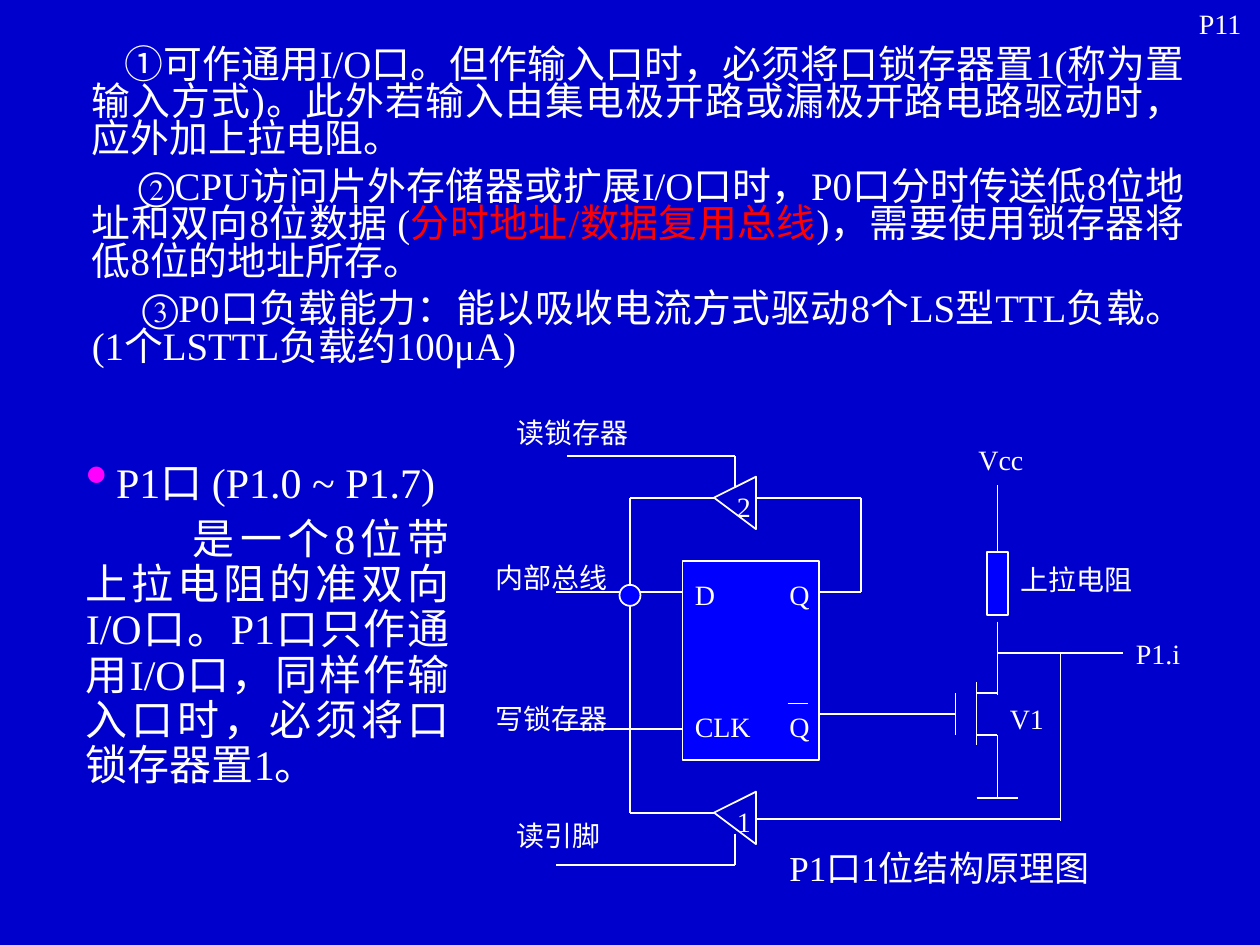
from itertools import pairwise
from typing import NamedTuple

from lxml.etree import SubElement
from pptx import Presentation
from pptx.dml.color import RGBColor as RGB
from pptx.enum.shapes import MSO_CONNECTOR as Link, MSO_SHAPE as Kind
from pptx.enum.text import PP_ALIGN as Align
from pptx.oxml.ns import qn
from pptx.util import Inches, Pt

HUES = {"back": "0000CC", "part": "0000FF", "ink": "FFFFFF",
        "mark": "FF0000", "dot": "FF00FF"}
FONT = "Times New Roman"
COLS, ROWS = 120, 90  # grid of the whole slide

deck = Presentation()
deck.slide_width, deck.slide_height = Inches(10), Inches(7.5)
CELL = deck.slide_width / COLS
slide = deck.slides.add_slide(deck.slide_layouts[6])
shapes = slide.shapes


class Label(NamedTuple):
    text: str
    col: float
    row: float
    wide: float
    size: float = 16
    gap: float = 10
    high: float = 4.4


class Para(NamedTuple):
    runs: list[tuple[str, str]]
    left: float
    first: float
    dot: bool = False


class Part(NamedTuple):
    kind: Kind
    col: float
    row: float
    wide: float
    high: float


def hue(name: str) -> RGB:
    return RGB.from_string(HUES[name])


def grid(*cells: float) -> list[int]:
    return [round(cell * CELL) for cell in cells]


def add_box(col: float, row: float, wide: float, high: float):
    frame = shapes.add_textbox(*grid(col, row, wide, high)).text_frame
    frame.word_wrap = True
    return frame


def style(para, size: float, gap: float) -> None:
    para.space_before = Pt(gap)
    para.font.name, para.font.size = FONT, Pt(size)
    para.font.color.rgb = hue("ink")


def add_label(label: Label) -> None:
    para = add_box(label.col, label.row, label.wide, label.high).paragraphs[0]
    para.text = label.text
    style(para, label.size, label.gap)


def add_dot(props) -> None:
    """Put a round bullet before the default run properties."""
    items = [SubElement(props, qn(f"a:{tag}"))
             for tag in ("buClr", "buSzPct", "buChar")]
    SubElement(items[0], qn("a:srgbClr")).set("val", HUES["dot"])
    items[1].set("val", "150000")
    items[2].set("char", "•")
    props.append(props.find(qn("a:defRPr")))


def add_prose(frame, paras: list[Para], size: float, lead: float) -> None:
    for i, item in enumerate(paras):
        para = frame.add_paragraph() if i else frame.paragraphs[0]
        para.alignment, para.line_spacing = Align.JUSTIFY, lead
        style(para, size, 6)
        for text, tone in item.runs:
            run = para.add_run()
            run.text = text
            if tone != "ink":
                run.font.color.rgb = hue(tone)
        props = para._p.get_or_add_pPr()
        props.set("marL", str(Inches(item.left)))
        props.set("indent", str(Inches(item.first)))
        if item.dot:
            add_dot(props)


def add_line(start: tuple, end: tuple):
    line = shapes.add_connector(Link.STRAIGHT, *grid(*start, *end))
    line.line.color.rgb, line.line.width = hue("ink"), Pt(1)
    SubElement(line._element.spPr, qn("a:effectLst"))
    return line


def outline(shape) -> None:
    shape.shadow.inherit = False
    shape.line.color.rgb, shape.line.width = hue("ink"), Pt(1)


def add_part(part: Part):
    shape = shapes.add_shape(part.kind, *grid(*part[1:]))
    outline(shape)
    shape.fill.solid()
    shape.fill.fore_color.rgb = hue("part")
    return shape


def add_gate(row: float) -> None:
    """Draw a buffer whose tip points left, at the given row."""
    tip, *rest = [grid(*spot) for spot in ((68, row), (72, row - 2), (72, row + 3))]
    form = shapes.build_freeform(*tip)
    form.add_line_segments(rest)
    shape = form.convert_to_shape()
    outline(shape)
    shape.fill.background()


# Background and prose
slide.background.fill.solid()
slide.background.fill.fore_color.rgb = hue("back")

add_prose(add_box(3, 4, 111, 34), [
    Para([("①可作通用I/O口。但作输入口时，必须将口锁存器置1(称为置输入方式)。"
           "此外若输入由集电极开路或漏极开路电路驱动时，应外加上拉电阻。", "ink")], 0.38, 0.26),
    Para([("②CPU访问片外存储器或扩展I/O口时，P0口分时传送低8位地址和双向8位数据 (", "ink"),
          ("分时地址/数据复用总线", "mark"),
          (")，需要使用锁存器将低8位的地址所存。", "ink")], 0.38, 0.37),
    Para([("③P0口负载能力：能以吸收电流方式驱动8个LS型TTL负载。"
           "(1个LSTTL负载约100μA)", "ink")], 0.38, 0.4),
], 22.2, 0.8)

add_prose(add_box(7, 43.4, 37, 39.7), [
    Para([("P1口 (P1.0 ~ P1.7)", "ink")], 0.24, -0.24, True),
    Para([("是一个8位带上拉电阻的准双向I/O口。P1口只作通用I/O口，"
           "同样作输入口时，必须将口锁存器置1。", "ink")], 0, 0.85),
], 24, 0.9)

# Wires, each a chain of corners
WIRES = [
    [(65, 56.4), (53, 56.4)],
    [(65, 69.4), (53, 69.4)],
    [(68, 47.4), (60, 47.4), (60, 77.4), (68, 77.4)],
    [(72, 47.4), (82, 47.4), (82, 56.4), (78, 56.4)],
    [(70, 46.4), (70, 43.4), (54, 43.4)],
    [(70, 79.4), (70, 82.4), (53, 82.4)],
    [(78, 68), (91, 68)],
    [(72, 78), (101, 78)],
    [(101, 78.2), (101, 62.2)],
    [(95, 62.2), (107, 62.2)],
    [(95, 59.2), (95, 66.2)],
    # Transistor
    [(91, 66), (91, 70)],
    [(93, 65), (93, 71)],
    [(93, 66), (95, 66)],
    [(93, 70), (95, 70), (95, 76)],
    [(93, 76), (97, 76)],
]
for wire in WIRES:
    for start, end in pairwise(wire):
        add_line(start, end)

# Latch, bus node, pull-up resistor and buffers
add_part(Part(Kind.RECTANGLE, 65, 53.4, 13, 19))
add_part(Part(Kind.OVAL, 59, 55.7, 2, 2))
load = add_part(Part(Kind.RECTANGLE, 94, 52.6, 2, 6))
add_line((95, 46.2), (95, 52.6)).end_connect(load, 0)
for row in (47.4, 77.4):
    add_gate(row)
add_line((75, 67), (77, 67))  # bar over the inverted output

# Labels
LABELS = [
    Label("P11", 113, 0, 9),
    Label("读锁存器", 48, 39, 15),
    Label("内部总线", 46, 52.8, 14),
    Label("写锁存器", 46, 66.2, 14),
    Label("读引脚", 48, 77.4, 12),
    Label("2", 69, 46, 6),
    Label("1", 69, 76, 6),
    Label("D", 65, 54.4, 5),
    Label("CLK", 65, 67, 8),
    Label("Q", 74, 54.4, 5),
    Label("Q", 74, 67, 6),
    Label("Vcc", 92, 41.6, 9),
    Label("上拉电阻", 96, 53, 14),
    Label("P1.i", 107, 60, 7),
    Label("V1", 95, 66.2, 7),
    Label("P1口1位结构原理图", 74, 80, 31, 20, 12.5, 9.2),
]
for label in LABELS:
    add_label(label)

deck.save("out.pptx")
